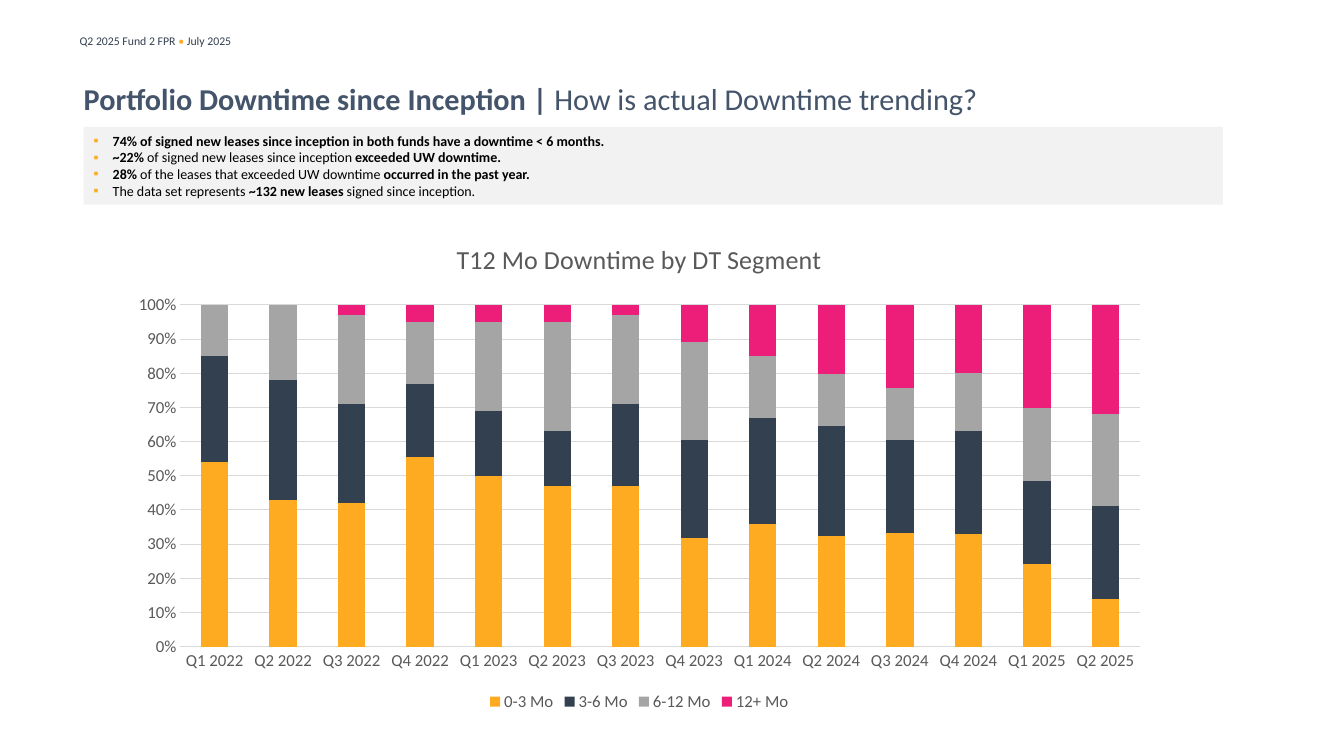
from lxml import etree
from pptx import Presentation
from pptx.chart.data import CategoryChartData
from pptx.dml.color import RGBColor
from pptx.enum.chart import XL_CHART_TYPE, XL_LEGEND_POSITION, XL_TICK_MARK
from pptx.enum.shapes import MSO_SHAPE
from pptx.enum.text import MSO_ANCHOR, PP_ALIGN
from pptx.oxml.ns import qn
from pptx.util import Inches, Pt

STACKED = XL_CHART_TYPE.COLUMN_STACKED_100
BOTTOM = XL_LEGEND_POSITION.BOTTOM
NO_TICK = XL_TICK_MARK.NONE
RECTANGLE = MSO_SHAPE.RECTANGLE
MIDDLE = MSO_ANCHOR.MIDDLE
LEFT = PP_ALIGN.LEFT

FONT = "Calibri"
NAVY, ORANGE, GREY, PINK = "33404F", "FFAB21", "A5A5A5", "ED1E79"
TITLE_BLUE, CHART_TEXT, GRID = "44546A", "595959", "D9D9D9"
MARGIN = Inches(0.83)


def color(value):
    return RGBColor.from_string(value)


def style(font, size, value, bold=False):
    font.name = FONT
    font.size = Pt(size)
    font.bold = bold
    font.color.rgb = color(value)


deck = Presentation()
deck.slide_width = Inches(13.33)
deck.slide_height = Inches(7.5)
page = deck.slides.add_slide(deck.slide_layouts[6])

# Running header
header = page.shapes.add_textbox(Inches(0.69), Inches(0.29), Inches(4.51), Inches(0.24))
header.text_frame.word_wrap = True
para = header.text_frame.paragraphs[0]
for text, value in [("Q2 2025 Fund 2 FPR ", NAVY), ("• ", ORANGE), ("July 2025", NAVY)]:
    span = para.add_run()
    span.text = text
    style(span.font, 8.4, value)

# Title
title = page.shapes.add_textbox(MARGIN, Inches(0.6), Inches(11.02), Inches(0.75))
frame = title.text_frame
frame.word_wrap = True
frame.vertical_anchor = MIDDLE
frame.margin_left = frame.margin_right = frame.margin_top = frame.margin_bottom = 0
for text, bold in [("Portfolio Downtime since Inception | ", True),
                   ("How is actual Downtime trending?", False)]:
    span = frame.paragraphs[0].add_run()
    span.text = text
    style(span.font, 21.6, TITLE_BLUE, bold)

# Downtime chart: share of leases per quarter, in percent
quarters = [f"Q{i % 4 + 1} {2022 + i // 4}" for i in range(14)]
segments = [
    ("0-3 Mo", ORANGE, (54, 43, 42, 55, 50, 47, 47, 32, 36, 32, 33, 33, 24, 14)),
    ("3-6 Mo", NAVY, (31, 35, 29, 21, 19, 16, 24, 29, 31, 32, 27, 30, 24, 27)),
    ("6-12 Mo", GREY, (15, 22, 26, 18, 26, 32, 26, 29, 18, 15, 15, 17, 21, 27)),
    ("12+ Mo", PINK, (0, 0, 3, 5, 5, 5, 3, 11, 15, 20, 24, 20, 30, 32)),
]
data = CategoryChartData()
data.categories = quarters
for name, _, shares in segments:
    data.add_series(name, shares)
chart = page.shapes.add_chart(STACKED, Inches(1.17), Inches(2.2),
                              Inches(10.34), Inches(4.9), data).chart
style(chart.font, 10, "000000")
chart.has_title = True
chart.chart_title.include_in_layout = False
chart.chart_title.text_frame.text = "T12 Mo Downtime by DT Segment"
style(chart.chart_title.text_frame.paragraphs[0].runs[0].font, 18.6, CHART_TEXT)

plot = chart.plots[0]
plot.gap_width = 150
plot.overlap = 100
plot.vary_by_categories = False
for series, (_, value, _) in zip(plot.series, segments):
    series.format.fill.solid()
    series.format.fill.fore_color.rgb = color(value)

for axis in (chart.category_axis, chart.value_axis):
    axis.major_tick_mark = axis.minor_tick_mark = NO_TICK
    style(axis.tick_labels.font, 12, CHART_TEXT)
chart.value_axis.has_major_gridlines = True
for line in (chart.category_axis.format.line, chart.value_axis.major_gridlines.format.line):
    line.color.rgb = color(GRID)
    line.width = Pt(0.75)
chart.value_axis.format.line.fill.background()
chart.value_axis.tick_labels.number_format = "0%"
chart.value_axis.tick_labels.number_format_is_linked = False

chart.has_legend = True
chart.legend.position = BOTTOM
chart.legend.include_in_layout = False
style(chart.legend.font, 12, CHART_TEXT)

# Key findings panel: (text, bold) spans for each bullet
findings = [
    [("74% of signed new leases since inception in both funds have a downtime < 6 months.", True)],
    [("~22% ", True), ("of signed new leases since inception ", False),
     ("exceeded UW downtime.", True)],
    [("28% ", True), ("of the leases that exceeded UW downtime ", False),
     ("occurred in the past year.", True)],
    [("The data set represents ", False), ("~132 new leases ", True),
     ("signed since inception.", False)],
]
panel = page.shapes.add_shape(RECTANGLE, MARGIN, Inches(1.26), Inches(11.3), Inches(0.77))
panel.shadow.inherit = False
panel.fill.solid()
panel.fill.fore_color.rgb = color("F2F2F2")
panel.line.fill.background()
frame = panel.text_frame
frame.word_wrap = True
frame.vertical_anchor = MIDDLE
indent = Inches(0.19)
for i, finding in enumerate(findings):
    para = frame.add_paragraph() if i else frame.paragraphs[0]
    para.alignment = LEFT
    props = para._p.get_or_add_pPr()
    props.set("marL", str(indent))
    props.set("indent", str(-indent))
    bullet_color = etree.SubElement(props, qn("a:buClr"))
    etree.SubElement(bullet_color, qn("a:srgbClr"), val="FEAB21")
    etree.SubElement(props, qn("a:buFont"), typeface=FONT)
    etree.SubElement(props, qn("a:buChar"), char="▪")
    for text, bold in finding:
        span = para.add_run()
        span.text = text
        style(span.font, 10, "000000", bold)

deck.save("out.pptx")
